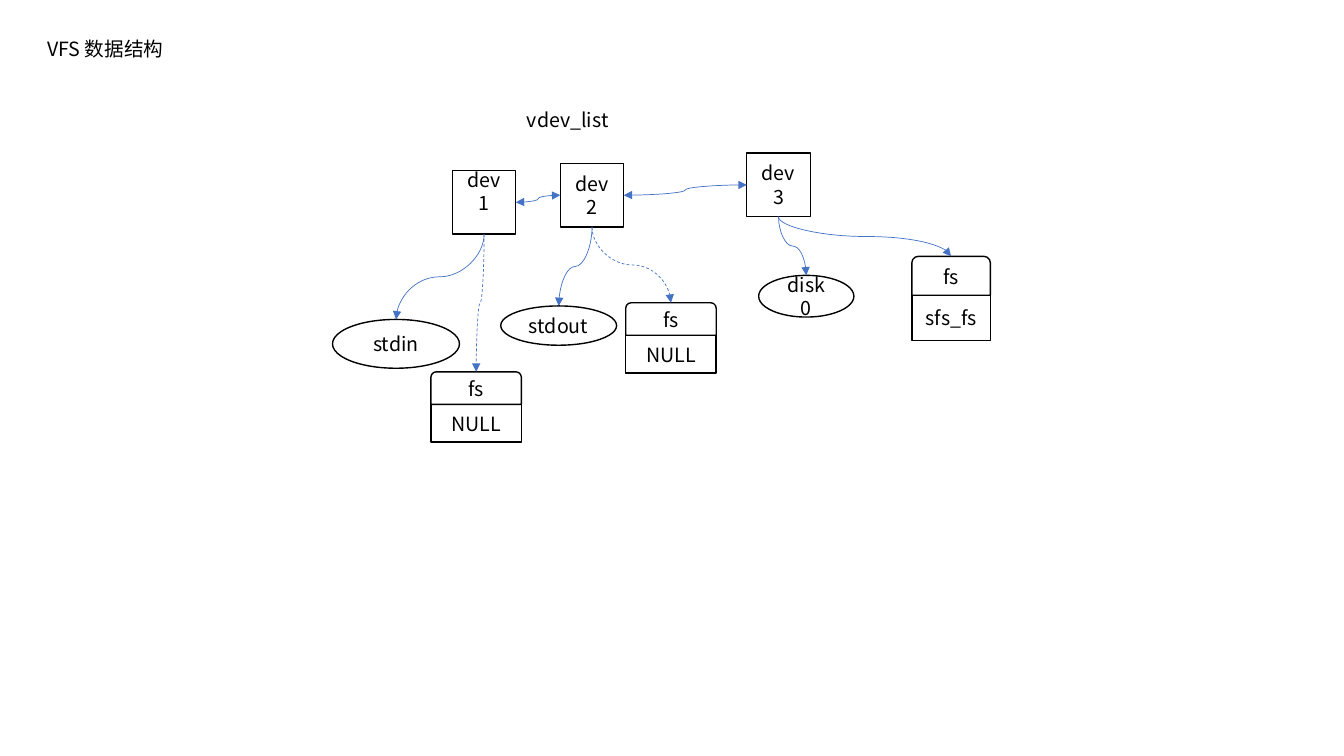
from lxml import etree
from pptx import Presentation, util as u
from pptx.dml.color import RGBColor
from pptx.enum import dml, shapes, text
from pptx.oxml.ns import qn

HUES = {"ink": "000000", "link": "4472C4"}
FONT = "Noto Sans CJK SC"
KIND = shapes.MSO_SHAPE


class Page:
    def __init__(self, deck):
        self.slide = deck.slides.add_slide(deck.slide_layouts[6])

    def hue(self, name):
        return RGBColor.from_string(HUES[name])

    def put(self, frame, words, align):
        frame.word_wrap = True
        para = frame.paragraphs[0]
        para.alignment = align
        run = para.add_run()
        run.text = words
        run.font.size = u.Pt(14)
        run.font.name = FONT
        run.font.color.rgb = self.hue("ink")
        etree.SubElement(run.font._element, qn("a:ea"), typeface=FONT)

    def label(self, words, x, y, w):
        box = self.slide.shapes.add_textbox(u.Cm(x), u.Cm(y), u.Cm(w), u.Cm(0.86))
        self.put(box.text_frame, words, text.PP_ALIGN.LEFT)

    def node(self, kind, words, x, y, w, h):
        item = self.slide.shapes.add_shape(kind, u.Cm(x), u.Cm(y), u.Cm(w), u.Cm(h))
        item.shadow.inherit = False
        item.fill.background()
        item.line.color.rgb = self.hue("ink")
        item.line.width = u.Pt(1)
        item.text_frame.vertical_anchor = text.MSO_ANCHOR.MIDDLE
        self.put(item.text_frame, words, text.PP_ALIGN.CENTER)
        return item

    def card(self, words, x, y, w, top, low):
        self.node(KIND.RECTANGLE, words, x, y + top, w, low)
        return self.node(KIND.ROUND_2_SAME_RECTANGLE, "fs", x, y, w, top)

    def curve(self, x1, y1, x2, y2, ends=("tailEnd",), dash=False):
        wire = self.slide.shapes.add_connector(
            shapes.MSO_CONNECTOR.CURVE, int(x1), int(y1), int(x2), int(y2))
        wire.line.color.rgb = self.hue("link")
        wire.line.width = u.Pt(0.5)
        if dash:
            wire.line.dash_style = dml.MSO_LINE.DASH
        for end in ends:
            etree.SubElement(wire.line._ln, qn("a:" + end), type="triangle")
        etree.SubElement(wire._element.spPr, qn("a:effectLst"))
        return wire

    def link(self, a, b):
        """Two-way curve from the right side of a to the left side of b."""
        self.curve(a.left + a.width, a.top + a.height / 2,
                   b.left, b.top + b.height / 2, ends=("headEnd", "tailEnd"))

    def drop(self, a, b, dash=False):
        """Curve from the bottom of a to the top of b, turned to leave downwards."""
        x1, y1 = a.left + a.width / 2, a.top + a.height
        x2, y2 = b.left + b.width / 2, b.top
        mid_x, mid_y = (x1 + x2) / 2, (y1 + y2) / 2
        right = x2 > x1
        half = (y2 - y1) / 2 * (1 if right else -1)
        rise = abs(x2 - x1) / 2
        wire = self.curve(mid_x + half, mid_y - rise,
                          mid_x - half, mid_y + rise, dash=dash)
        wire._element.spPr.xfrm.set("rot", str((270 if right else 90) * 60000))


deck = Presentation()
deck.slide_width, deck.slide_height = u.Cm(33.87), u.Cm(19.05)
page = Page(deck)

# Headings
page.label("VFS 数据结构", 0.94, 0.81, 7.39)
page.label("vdev_list", 13.03, 2.6, 3.56)

# Device list
devs = [page.node(KIND.RECTANGLE, f"dev{n}", x, y, 1.6, 1.6)
        for n, (x, y) in enumerate([(11.4, 4.3), (14.12, 4.12), (18.82, 3.86)], 1)]
devs[0].text_frame.margin_bottom = u.Cm(0.69)
for a, b in zip(devs, devs[1:]):
    page.link(a, b)

# Device targets
goals = [page.node(KIND.OVAL, *row) for row in [
    ("stdin", 8.38, 8.05, 3.2, 1.23),
    ("stdout", 12.62, 7.71, 2.92, 0.99),
    ("disk0", 19.12, 6.94, 2.4, 1.05)]]

# File systems
cards = [page.card(*row) for row in [
    ("NULL", 10.86, 9.37, 2.28, 0.82, 0.95),
    ("NULL", 15.77, 7.63, 2.28, 0.82, 0.95),
    ("sfs_fs", 22.98, 6.46, 1.98, 0.98, 1.14)]]

# Links from each device; dashed where no file system is mounted
for dev, goal, card in zip(devs, goals, cards):
    page.drop(dev, goal)
    page.drop(dev, card, dash=dev is not devs[-1])

deck.save("out.pptx")
